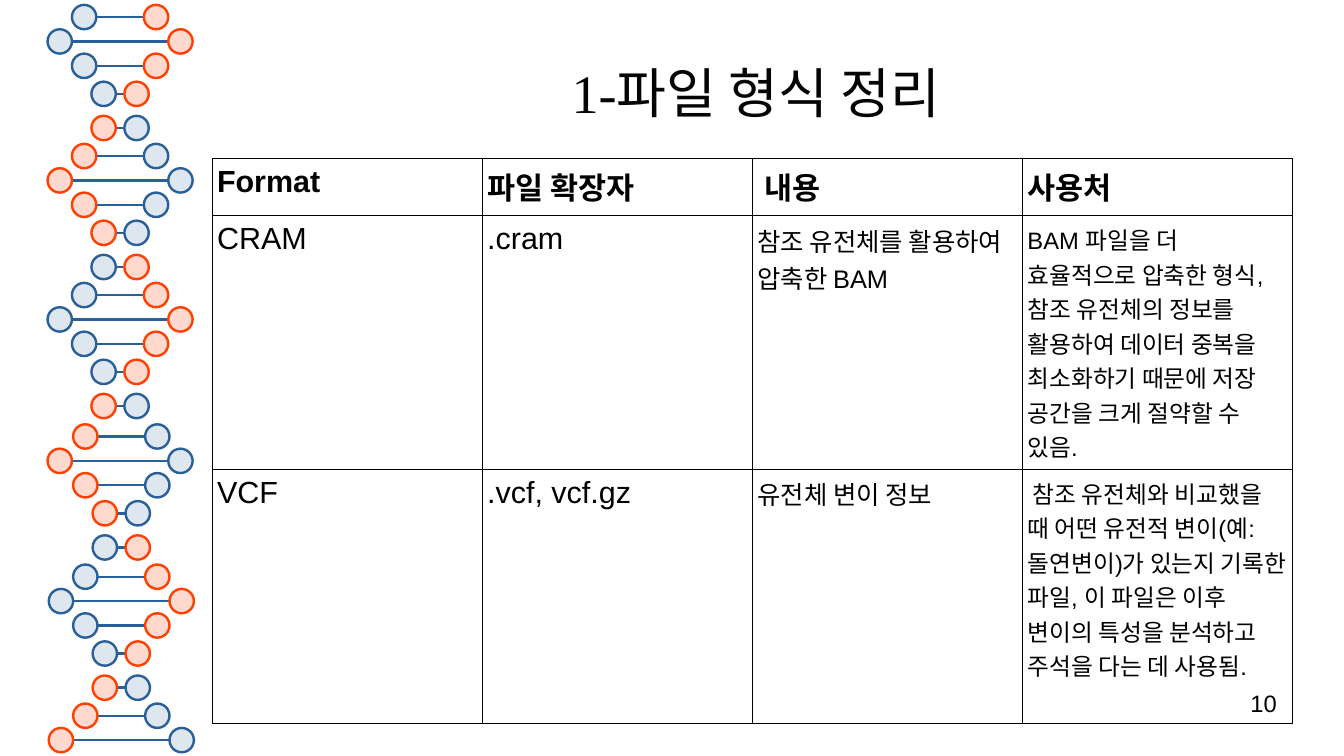
"""Build a slide with a DNA helix border and a table of genomic file formats."""
from lxml.etree import SubElement
from pptx import Presentation
from pptx.dml.color import RGBColor
from pptx.enum.shapes import MSO_CONNECTOR as CONNECTOR, MSO_SHAPE as SHAPE
from pptx.enum.text import MSO_ANCHOR as ANCHOR, PP_ALIGN as ALIGN
from pptx.oxml.ns import qn
from pptx.util import Inches, Pt

BLUE = RGBColor(0x2A, 0x60, 0x99)
PALE_BLUE = RGBColor(0xDE, 0xE6, 0xEF)
ORANGE = RGBColor(0xFF, 0x40, 0x00)
PALE_ORANGE = RGBColor(0xFF, 0xD8, 0xCE)
BLACK = RGBColor(0x00, 0x00, 0x00)
TITLE_BLACK = RGBColor(0x05, 0x05, 0x05)

BLUE_BASE = (PALE_BLUE, BLUE)
ORANGE_BASE = (PALE_ORANGE, ORANGE)
BASE_SIZE = 0.2
HELIX_LINE = Pt(1.42)
RUNG_COUNT = 27
TURN_TOPS = (0.04, 1.18, 2.32, 3.48, 4.63, 5.77)
WIDE = (0.39, 1.38)
MEDIUM = (0.59, 1.18)
NARROW = (0.75, 1.02)
RUNG_PATTERN = ((0, MEDIUM), (0.2, WIDE), (0.4, MEDIUM), (0.63, NARROW), (0.91, NARROW))


def style_run(run, size, name="Arial", color=BLACK, bold=False):
    for attribute, value in {"size": Pt(size), "name": name, "bold": bold}.items():
        setattr(run.font, attribute, value)
    run.font.color.rgb = color


def add_label(text, box, alignment, anchor, size, name, color):
    frame = slide.shapes.add_textbox(*map(Inches, box)).text_frame
    settings = {"word_wrap": True, "vertical_anchor": anchor, "margin_left": 0,
                "margin_right": 0, "margin_top": 0, "margin_bottom": 0}
    for attribute, value in settings.items():
        setattr(frame, attribute, value)
    paragraph = frame.paragraphs[0]
    paragraph.alignment = alignment
    run = paragraph.add_run()
    run.text = text
    style_run(run, size, name, color)


presentation = Presentation()
presentation.slide_width = Inches(11.02)
presentation.slide_height = Inches(6.2)
slide = presentation.slides.add_slide(presentation.slide_layouts[6])

for index in range(RUNG_COUNT):
    turn, step = divmod(index, len(RUNG_PATTERN))
    offset, lefts = RUNG_PATTERN[step]
    top = TURN_TOPS[turn] + offset
    drift = 0.01 if turn >= 3 and index != 16 else 0
    left, right = (base_left + drift for base_left in lefts)
    middle = Inches(top + BASE_SIZE / 2)
    rung = slide.shapes.add_connector(CONNECTOR.STRAIGHT, Inches(left + BASE_SIZE), middle,
                                      Inches(right), middle)
    rung.line.color.rgb = BLUE
    rung.line.width = HELIX_LINE
    SubElement(rung._element.spPr, qn("a:effectLst"))

    bases = [BLUE_BASE, ORANGE_BASE]
    if (index + 1) // 5 % 2:
        bases.reverse()
    for base_left, (fill, outline) in zip((left, right), bases):
        base = slide.shapes.add_shape(SHAPE.OVAL, Inches(base_left), Inches(top),
                                      Inches(BASE_SIZE), Inches(BASE_SIZE))
        base.shadow.inherit = False
        base.fill.solid()
        base.fill.fore_color.rgb = fill
        base.line.color.rgb = outline
        base.line.width = HELIX_LINE

add_label("1-파일 형식 정리", (1.77, 0.24, 8.86, 1.02), ALIGN.CENTER, ANCHOR.MIDDLE,
          32, "Times New Roman", TITLE_BLACK)

FORMAT_ROWS = (
    ("Format", "파일 확장자", " 내용", "사용처"),
    ("CRAM", ".cram", "참조 유전체를 활용하여 압축한 BAM",
     "BAM 파일을 더 효율적으로 압축한 형식, 참조 유전체의 정보를 활용하여 "
     "데이터 중복을 최소화하기 때문에 저장 공간을 크게 절약할 수 있음."),
    ("VCF", ".vcf, vcf.gz", "유전체 변이 정보",
     " 참조 유전체와 비교했을 때 어떤 유전적 변이(예: 돌연변이)가 있는지 기록한 파일, "
     "이 파일은 이후 변이의 특성을 분석하고 주석을 다는 데 사용됨."),
)
ROW_HEIGHTS = (0.47, 2.08, 2.08)
HEADER_SIZE = 18
BODY_SIZES = (18, 18, 15, 14)
CELL_FORMAT = {"margin_left": Inches(0.04), "margin_right": Inches(0.04),
               "margin_top": Inches(0.05), "margin_bottom": Inches(0.05),
               "vertical_anchor": ANCHOR.TOP}

table = slide.shapes.add_table(3, 4, Inches(1.74), Inches(1.3), Inches(8.86),
                               Inches(sum(ROW_HEIGHTS))).table
table.first_row = False
table.horz_banding = False
for row_index, (texts, height) in enumerate(zip(FORMAT_ROWS, ROW_HEIGHTS)):
    table.rows[row_index].height = Inches(height)
    for column_index, text in enumerate(texts):
        cell = table.cell(row_index, column_index)
        for attribute, value in CELL_FORMAT.items():
            setattr(cell, attribute, value)
        run = cell.text_frame.paragraphs[0].add_run()
        run.text = text
        is_header = row_index == 0
        style_run(run, HEADER_SIZE if is_header else BODY_SIZES[column_index], bold=is_header)
        properties = cell._tc.get_or_add_tcPr()
        for side in ("a:lnL", "a:lnR", "a:lnT", "a:lnB"):
            border = SubElement(properties, qn(side), w=str(Pt(0.57)))
            border_fill = SubElement(border, qn("a:solidFill"))
            SubElement(border_fill, qn("a:srgbClr"), val=str(BLACK))
        cell.fill.background()

add_label("10", (7.9, 5.65, 2.57, 0.43), ALIGN.RIGHT, ANCHOR.TOP, 14, "Arial", BLACK)

presentation.save("out.pptx")
